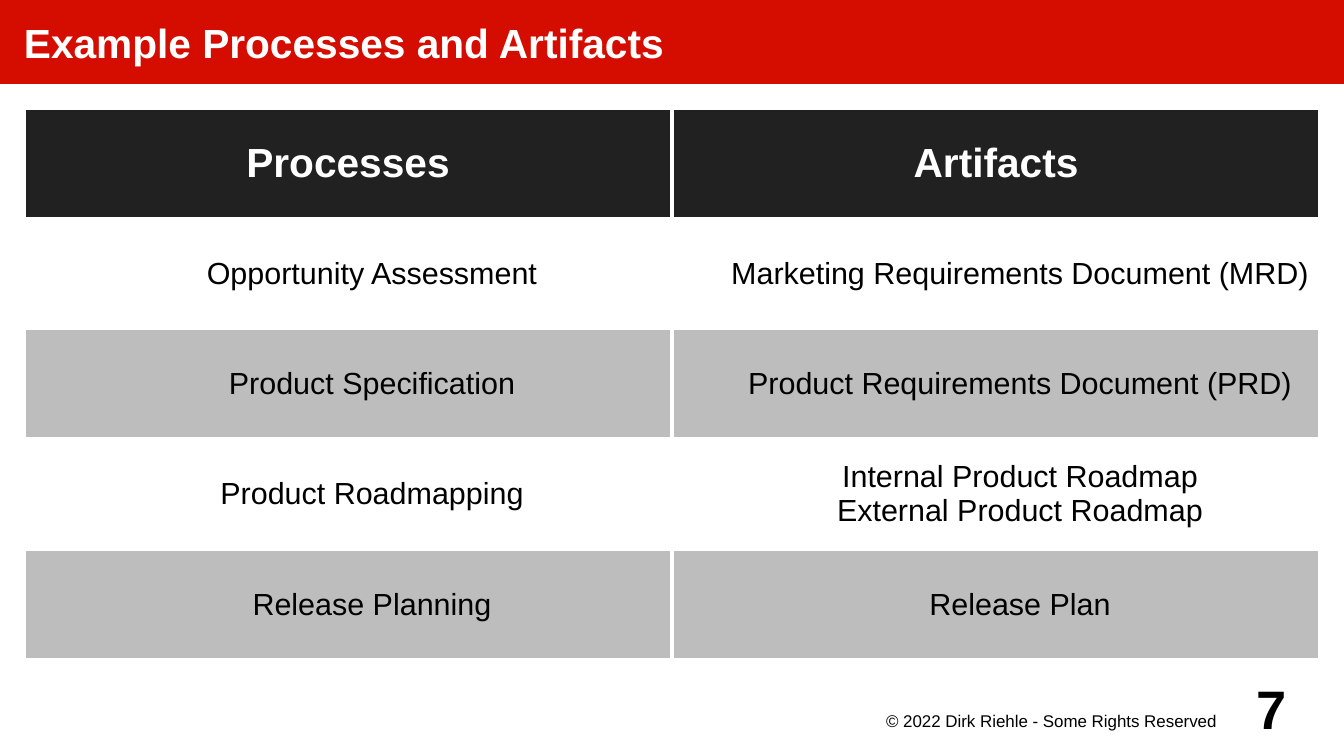
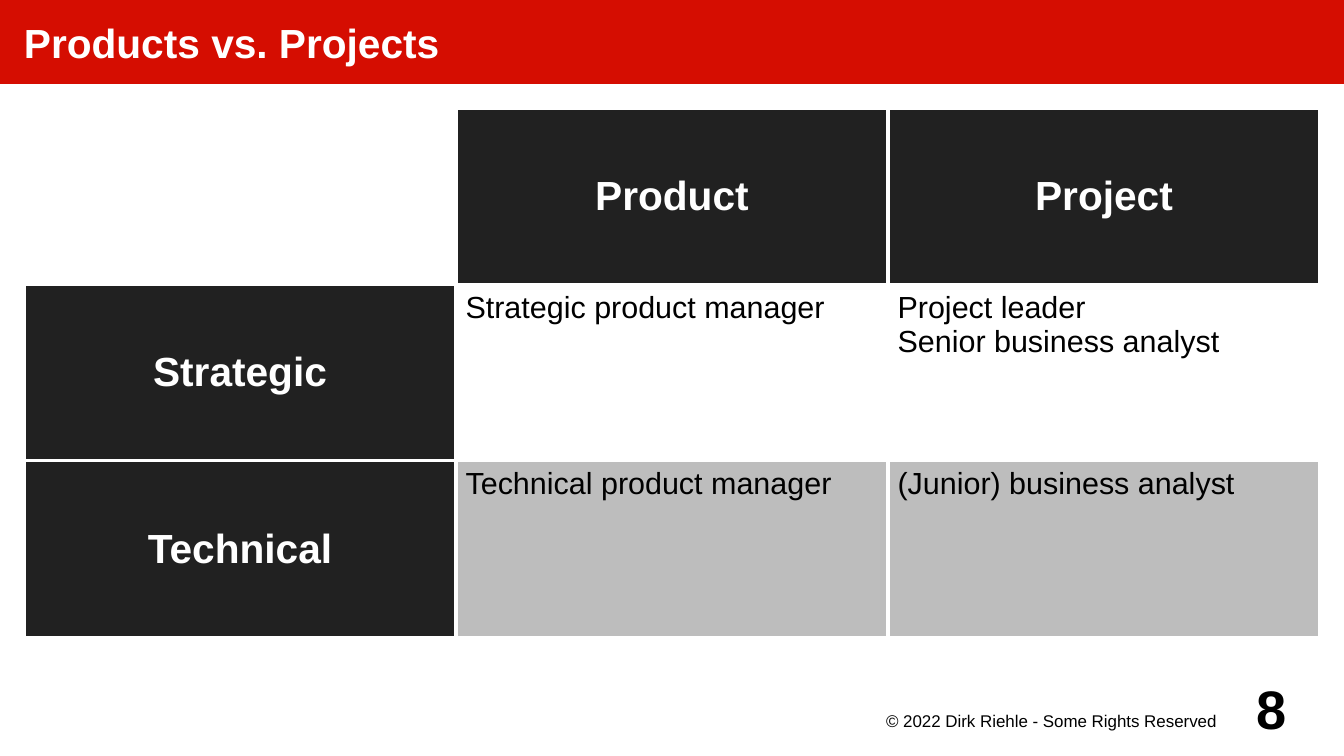
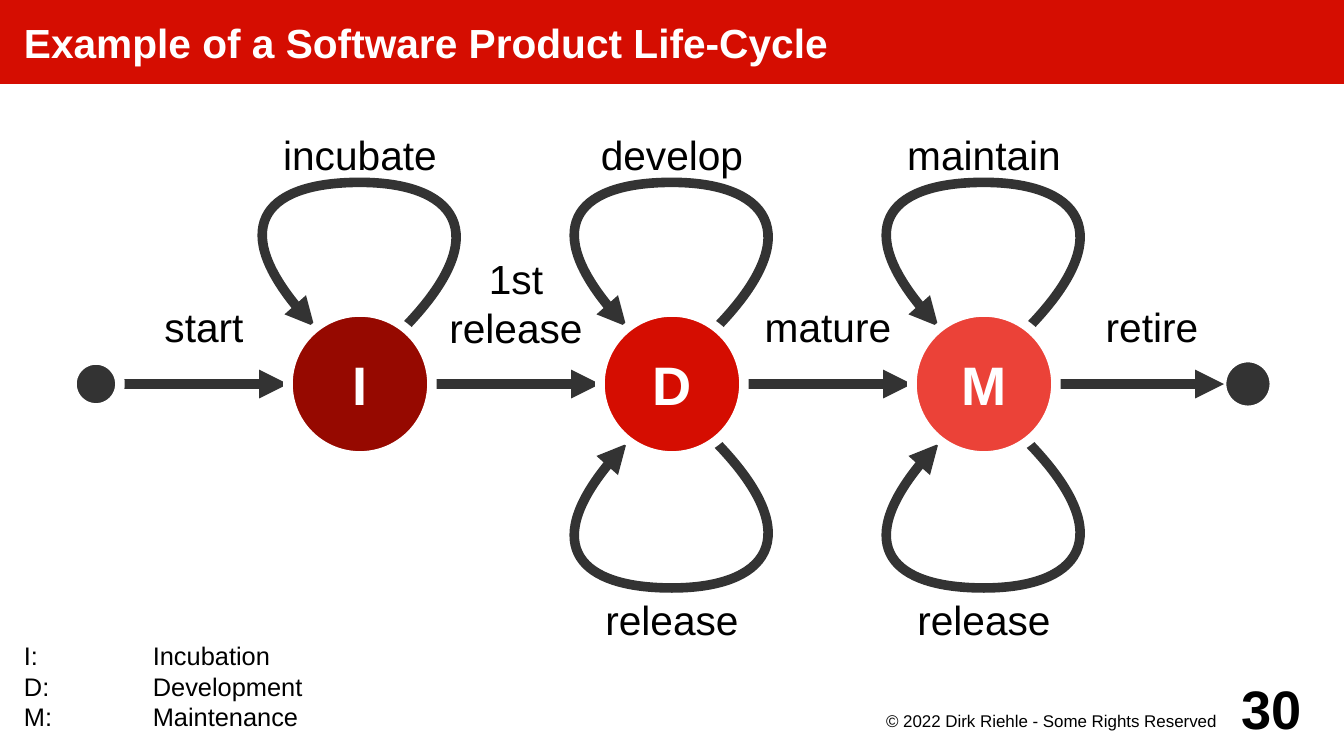
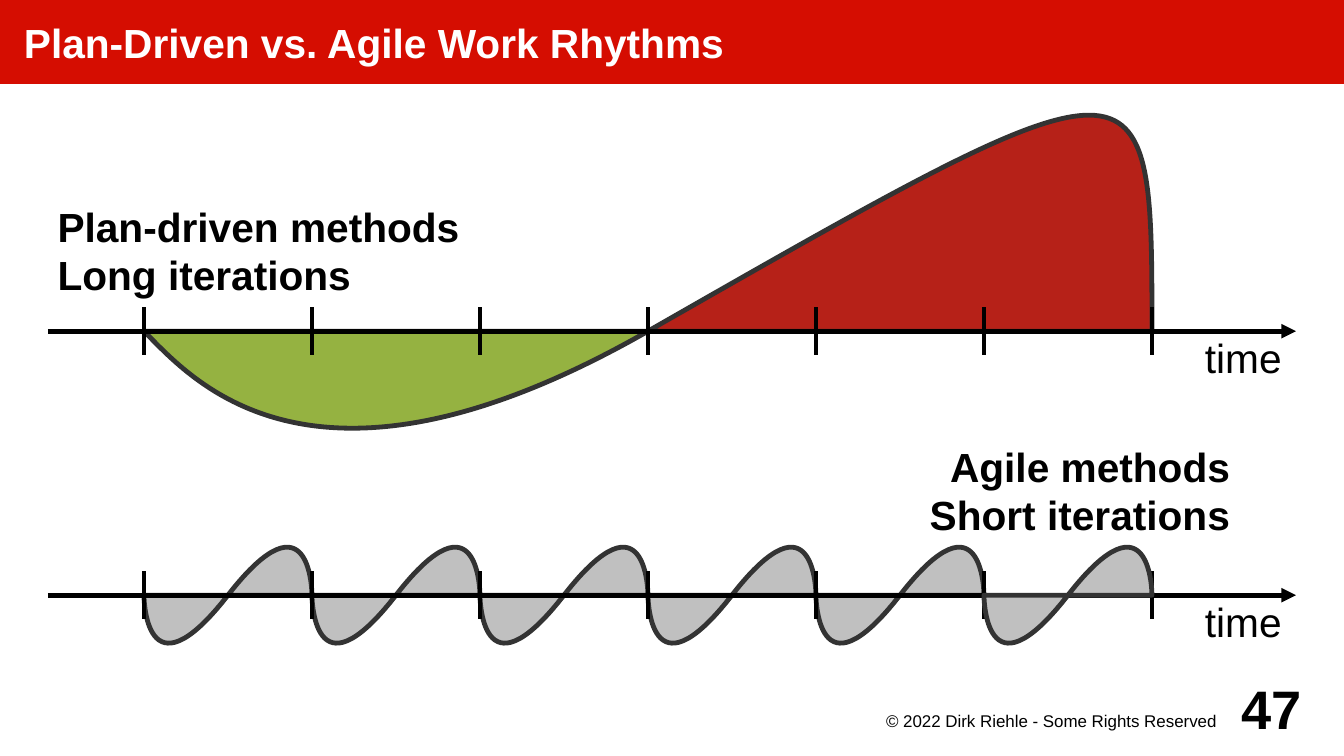
import pptx
import pptx.util
import pptx.dml.color
import pptx.enum.shapes
import pptx.enum.text
import pptx.oxml
import pptx.oxml.ns
from lxml import etree

RGBColor = pptx.dml.color.RGBColor
SHAPE = pptx.enum.shapes.MSO_SHAPE
STRAIGHT = pptx.enum.shapes.MSO_CONNECTOR.STRAIGHT
PP_ALIGN = pptx.enum.text.PP_ALIGN
ANCHOR = pptx.enum.text.MSO_ANCHOR
LEFT, CENTER, RIGHT = PP_ALIGN.LEFT, PP_ALIGN.CENTER, PP_ALIGN.RIGHT
TOP, MIDDLE, BOTTOM = ANCHOR.TOP, ANCHOR.MIDDLE, ANCHOR.BOTTOM

# Palette
RED = RGBColor(0xD5, 0x0D, 0x01)
DARK_RED = RGBColor(0x96, 0x09, 0x00)
LIGHT_RED = RGBColor(0xEB, 0x42, 0x38)
BRICK = RGBColor(0xB6, 0x21, 0x18)
GREEN = RGBColor(0x95, 0xB2, 0x41)
SILVER = RGBColor(0xC0, 0xC0, 0xC0)
BAND_GRAY = RGBColor(0xBD, 0xBD, 0xBD)
HEADER_GRAY = RGBColor(0x21, 0x21, 0x21)
CHARCOAL = RGBColor(0x33, 0x33, 0x33)
BLACK = RGBColor(0x00, 0x00, 0x00)
WHITE = RGBColor(0xFF, 0xFF, 0xFF)

FONT = "Arial"
COPYRIGHT = "© 2022 Dirk Riehle - Some Rights Reserved"

# Grid: 56 columns by 31.5 rows of half a centimetre
COLUMNS, ROWS = 56, 31.5
THICK, THIN, BORDER = 5.67, 2.83, 2.27


def grid(count):
    return pptx.util.Cm(count * 0.5)


def add_xml(parent, tag, **attributes):
    return etree.SubElement(parent, pptx.oxml.ns.qn(tag), **attributes)


def write(frame, text, size=24, color=BLACK, bold=False, align=LEFT,
          indent=0, tab=None):
    """Fill a text frame, one paragraph per line of text."""
    for number, line in enumerate(text.split("\n")):
        paragraph = frame.add_paragraph() if number else frame.paragraphs[0]
        paragraph.alignment = align
        properties = paragraph._p.get_or_add_pPr()
        if indent:
            properties.set("marL", str(grid(indent)))
            properties.set("indent", "0")
        if tab:
            stops = add_xml(properties, "a:tabLst")
            add_xml(stops, "a:tab", pos=str(grid(tab)), algn="l")
        run = paragraph.add_run()
        run.text = line
        run.font.name = FONT
        run.font.size = pptx.util.Pt(size)
        run.font.bold = bold
        run.font.color.rgb = color


def sample(start, curves, steps=24):
    """Points along a chain of cubic curves, which give its extent."""
    points = [start]
    for first, second, end in curves:
        corners = (points[-1], first, second, end)
        for step in range(1, steps + 1):
            t = step / steps
            weights = ((1 - t) ** 3, 3 * t * (1 - t) ** 2,
                       3 * t * t * (1 - t), t ** 3)
            points.append(tuple(
                sum(w * corner[axis] for w, corner in zip(weights, corners))
                for axis in (0, 1)))
    return points


class Deck:
    def __init__(self):
        self.show = pptx.Presentation()
        self.show.slide_width = grid(COLUMNS)
        self.show.slide_height = grid(ROWS)
        self.slide = None

    def start_slide(self, title, number):
        self.slide = self.show.slides.add_slide(self.show.slide_layouts[6])
        self.shape(SHAPE.RECTANGLE, 0, 0, COLUMNS, 3.5, RED, text=title,
                   insets=(1, 0, 0, 0), color=WHITE, bold=True)
        self.text(COPYRIGHT, 36, 29.5, 16, 1.5, insets=(0, 0.1, 0.4, 0),
                  size=10, align=CENTER)
        self.text(str(number), 51, 28, 4, 3, anchor=MIDDLE,
                  insets=(0, 0, 0, 0), size=32, bold=True, align=CENTER)

    def fit(self, frame, anchor, insets, wrap=True):
        frame.word_wrap = wrap
        frame.vertical_anchor = anchor
        (frame.margin_left, frame.margin_top, frame.margin_right,
         frame.margin_bottom) = map(grid, insets)

    def outline(self, line, color, width, arrow=False):
        line.color.rgb = color
        line.width = pptx.util.Pt(width)
        if arrow:
            add_xml(line._get_or_add_ln(), "a:tailEnd", type="triangle")

    def text(self, text, x, y, w, h, anchor=TOP, insets=(0.4,) * 4, **style):
        box = self.slide.shapes.add_textbox(*map(grid, (x, y, w, h)))
        self.fit(box.text_frame, anchor, insets)
        write(box.text_frame, text, **style)

    def shape(self, kind, x, y, w, h, fill, rim=None, text=None,
              insets=(0.5,) * 4, wrap=True, **style):
        shape = self.slide.shapes.add_shape(kind, *map(grid, (x, y, w, h)))
        shape.shadow.inherit = False
        shape.fill.solid()
        shape.fill.fore_color.rgb = fill
        if rim:
            self.outline(shape.line, WHITE, rim)
        else:
            shape.line.fill.background()
        if text:
            self.fit(shape.text_frame, MIDDLE, insets, wrap)
            write(shape.text_frame, text, **style)

    def line(self, x1, y1, x2, y2, color, width, arrow=False):
        line = self.slide.shapes.add_connector(
            STRAIGHT, *map(grid, (x1, y1, x2, y2)))
        self.outline(line.line, color, width, arrow)
        add_xml(line._element.spPr, "a:effectLst")

    def curve(self, start, *curves, width=THIN, fill=None, arrow=False):
        """A chain of cubic curves; it is closed when it has a fill."""
        origin, *rest = [(grid(x), grid(y)) for x, y in sample(start, curves)]
        builder = self.slide.shapes.build_freeform(*origin)
        builder.add_line_segments(rest, close=False)
        curve = builder.convert_to_shape()

        # Put true cubic segments in place of the straight ones
        track = next(curve._element.iter(pptx.oxml.ns.qn("a:path")))
        for segment in list(track):
            track.remove(segment)
        for tag, points in [("a:moveTo", [start]),
                            *(("a:cubicBezTo", points) for points in curves)]:
            segment = add_xml(track, tag)
            for x, y in points:
                add_xml(segment, "a:pt", x=str(grid(x) - curve.left),
                        y=str(grid(y) - curve.top))

        curve.shadow.inherit = False
        if fill is None:
            curve.fill.background()
        else:
            add_xml(track, "a:close")
            curve.fill.solid()
            curve.fill.fore_color.rgb = fill
        self.outline(curve.line, CHARCOAL, width, arrow)

    def table(self, rows, row_height, side_header=False, **body_style):
        count = len(rows[0])
        width = COLUMNS - 2
        table = self.slide.shapes.add_table(
            len(rows), count, grid(1), grid(4.5), grid(width),
            grid(row_height * len(rows))).table
        table.first_row = table.horz_banding = False
        for column in table.columns:
            column.width = grid(width / count)
        for r, row in enumerate(rows):
            table.rows[r].height = grid(row_height)
            for c, text in enumerate(row):
                header = r == 0 or (side_header and c == 0)
                band = WHITE if r % 2 else BAND_GRAY
                fill = HEADER_GRAY if header else band
                self.cell(table.cell(r, c), text, fill if text else WHITE,
                          header, **body_style)

    def cell(self, cell, text, fill, header, anchor=TOP, **body_style):
        cell.margin_left = cell.margin_right = grid(0.4)
        cell.margin_top = cell.margin_bottom = grid(0.25)
        cell.vertical_anchor = MIDDLE if header else anchor
        if text and header:
            write(cell.text_frame, text, color=WHITE, bold=True, align=CENTER)
        elif text:
            write(cell.text_frame, text, size=18, **body_style)
        properties = cell._tc.get_or_add_tcPr()
        for side in ("a:lnL", "a:lnR", "a:lnT", "a:lnB"):
            border = add_xml(properties, side, w=str(pptx.util.Pt(BORDER)))
            add_xml(add_xml(border, "a:solidFill"), "a:srgbClr",
                    val=str(WHITE))
        cell.fill.solid()
        cell.fill.fore_color.rgb = fill


def processes(deck):
    deck.start_slide("Example Processes and Artifacts", 7)
    deck.table([
        ("Processes", "Artifacts"),
        ("Opportunity Assessment", "Marketing Requirements Document (MRD)"),
        ("Product Specification", "Product Requirements Document (PRD)"),
        ("Product Roadmapping",
         "Internal Product Roadmap\nExternal Product Roadmap"),
        ("Release Planning", "Release Plan"),
    ], 4.6, anchor=MIDDLE, align=CENTER, indent=2)


def products(deck):
    deck.start_slide("Products vs. Projects", 8)
    deck.table([
        ("", "Product", "Project"),
        ("Strategic", "Strategic product manager",
         "Project leader\nSenior business analyst"),
        ("Technical", "Technical product manager",
         "(Junior) business analyst"),
    ], 7.35, side_header=True)


def life_cycle(deck):
    deck.start_slide("Example of a Software Product Life-Cycle", 30)
    deck.text("I:\tIncubation\nD:\tDevelopment\nM:\tMaintenance",
              0, 23.5, 40, 8, anchor=BOTTOM, insets=(1,) * 4,
              size=15, tab=5.37)
    pitch, diameter, middle = 13, 6, 16

    # Transitions between the states, from the start dot to the end dot
    deck.shape(SHAPE.OVAL, 51, middle - 1, 2, 2, CHARCOAL, rim=THIN)
    transitions = [("start", 7), ("1st\nrelease", 7), ("mature", 7),
                   ("retire", 8)]
    for step, (label, width) in enumerate(transitions):
        x = 5 + step * pitch
        height = 3 + 2 * label.count("\n")
        deck.line(x, middle, x + 7, middle, CHARCOAL, THICK, arrow=True)
        deck.text(label, x, 15.1 - height, width, height, anchor=MIDDLE,
                  align=CENTER)
    deck.shape(SHAPE.OVAL, 3, middle - 1, 2, 2, CHARCOAL, rim=THICK)

    # States with a loop above (-1) or below (1)
    states = [("I", DARK_RED, {-1: "incubate"}),
              ("D", RED, {-1: "develop", 1: "release"}),
              ("M", LIGHT_RED, {-1: "maintain", 1: "release"})]
    for step, (letter, fill, loops) in enumerate(states):
        center = 15 + step * pitch
        for side, label in loops.items():
            near, far, peak = (middle + 0.05 + side * distance
                               for distance in (2.45, 6.45, 8.45))
            deck.curve(
                (center + 1.9, near),
                ((center + 5.75, far), (center + 3.85, peak), (center, peak)),
                ((center - 3.85, peak), (center - 5.75, far),
                 (center - 1.9, near)), width=THICK, arrow=True)
            deck.text(label, center - 4, 5 if side < 0 else 24.4, 8, 3,
                      align=CENTER)
        deck.shape(SHAPE.OVAL, center - diameter / 2, middle - diameter / 2,
                   diameter, diameter, fill, rim=THICK, text=letter,
                   wrap=False, size=32, color=WHITE, bold=True, align=CENTER)


def rhythms(deck):
    deck.start_slide("Plan-Driven vs. Agile Work Rhythms", 47)
    first, period, periods = 6, 7, 6
    half, last = first + 3 * period, first + periods * period

    def time_axis(y):
        deck.line(2, y, 54, y, BLACK, 2.89, arrow=True)
        deck.text("time", 49, y + 0.1, 4.8, 1.95, anchor=MIDDLE, align=RIGHT)
        for tick in range(periods + 1):
            x = first + tick * period
            deck.line(x, y - 1, x, y + 1, BLACK, THIN)

    def iteration(number, y):
        x = first + number * period
        end = x + period
        deck.curve(
            (x, y), ((x, y), (x, y + 4.5), (x + period / 2, y)),
            ((end, y - 4.5), (end, y), (end, y)), fill=SILVER)

    # One long iteration
    plan = 13.8
    deck.curve((half, plan), ((last, plan - 12), (last, plan - 12),
                              (last, plan)), fill=BRICK)
    deck.curve((first, plan), ((8, plan + 2), (13, plan + 8),
                               (half, plan)), fill=GREEN)
    time_axis(plan)
    deck.text("Plan-driven methods\nLong iterations", 2, 8, 18, 5, bold=True)

    # Many short iterations, the last one in front of the axis
    agile = 24.8
    for number in range(periods - 1):
        iteration(number, agile)
    time_axis(agile)
    iteration(periods - 1, agile)
    deck.text("Agile methods\nShort iterations", 36, 18, 15.65, 5,
              bold=True, align=RIGHT)


def main():
    deck = Deck()
    for build in (processes, products, life_cycle, rhythms):
        build(deck)
    deck.show.save("out.pptx")


if __name__ == "__main__":
    main()
